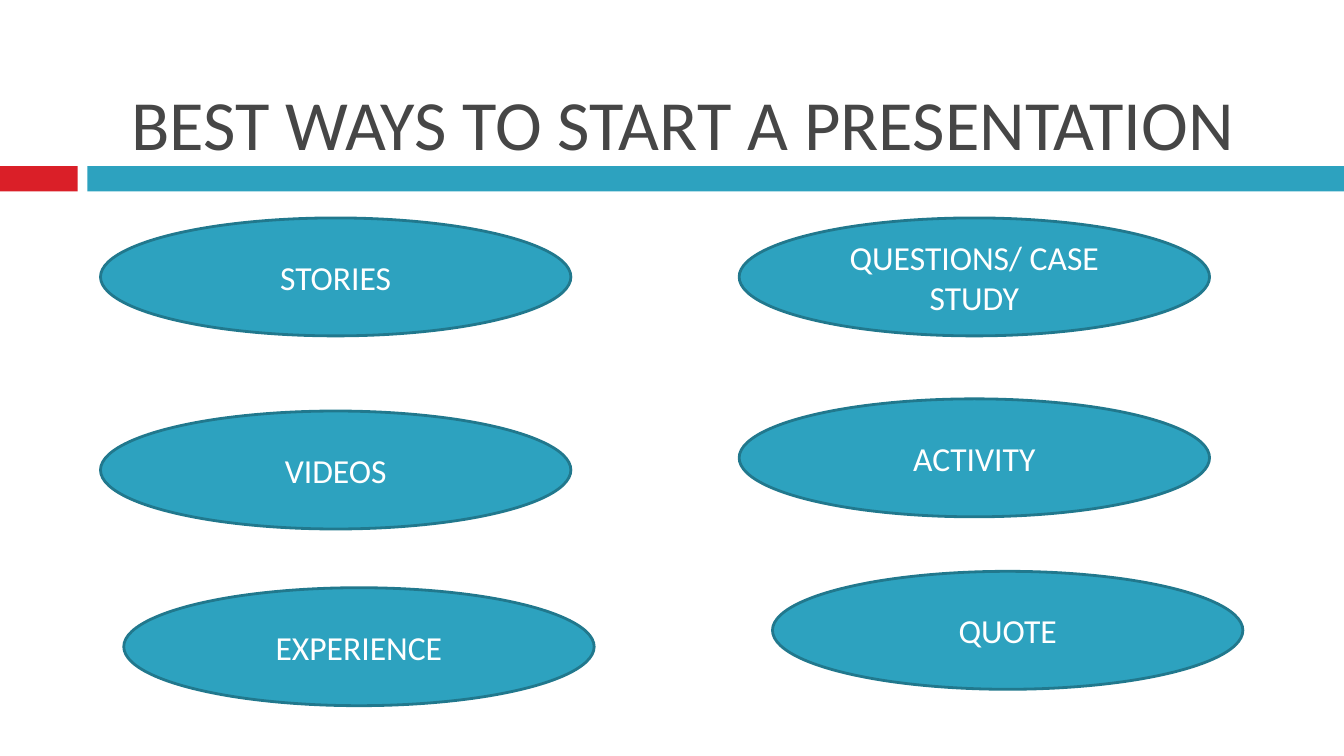
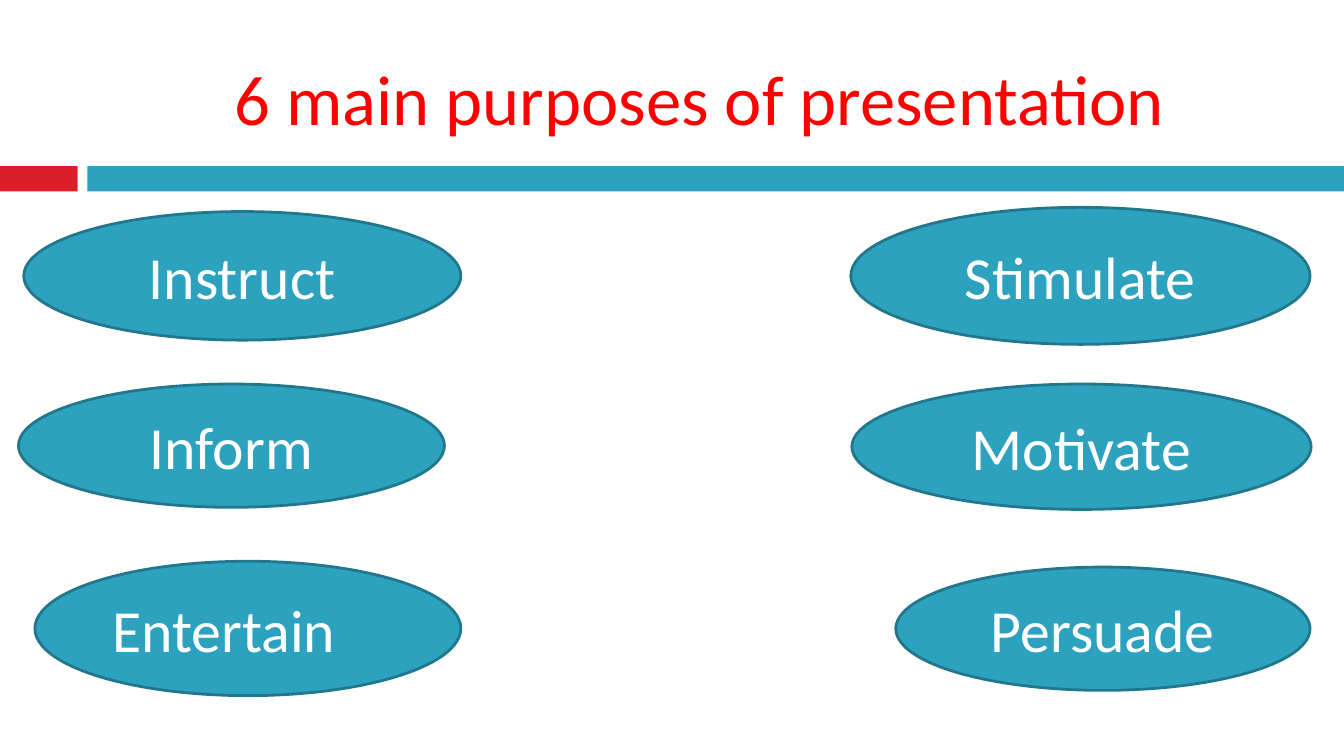
from pptx import Presentation
from pptx import util as u
from pptx.dml.color import RGBColor
from pptx.enum import shapes, text

COLORS = {"red": "DA1F28", "teal": "2DA2BF", "edge": "21788D",
          "white": "FFFFFF", "gray": "464646", "bright": "FF0000"}
WIDTH, HEIGHT = 25.4, 14.29
BAND_TOP, BAND_HEIGHT = 3.14, 0.48
BANDS = [("red", 0, 1.47), ("teal", 1.65, WIDTH - 1.65)]
OVAL = (8.89, 2.23)

SLIDES = [
    {"title": "BEST WAYS TO START A PRESENTATION", "color": "gray",
     "box": (1.47, 0.79, 22.86, 2.38), "size": 18,
     "ovals": [
         ("STORIES", 1.9, 4.12, *OVAL),
         ("VIDEOS", 1.9, 7.77, *OVAL),
         ("QUOTE", 14.6, 10.8, *OVAL),
         ("EXPERIENCE", 2.34, 11.11, *OVAL),
         ("ACTIVITY", 13.97, 7.54, *OVAL),
         ("QUESTIONS/ CASE STUDY", 13.97, 4.12, *OVAL)]},
    {"title": "6 main purposes of presentation", "color": "bright",
     "box": (2.11, 1.22, 22.22, 1.47), "size": 32,
     "ovals": [
         ("Inform", 0.35, 7.26, 8.05, 2.33),
         ("Motivate", 16.1, 7.26, 8.68, 2.37),
         ("Instruct", 0.45, 4, 8.26, 2.43),
         ("Entertain", 0.66, 10.61, 8.05, 2.54),
         ("Persuade", 16.93, 10.72, 7.83, 2.33),
         ("Stimulate", 16.08, 3.92, 8.68, 2.59)]},
]
INSETS = {"Entertain": {"margin_right": u.Cm(1.15)}}


def rgb(name):
    return RGBColor.from_string(COLORS[name])


def set_all(obj, values):
    for name, value in values.items():
        setattr(obj, name, value)


def write(sp, words, size, color, **frame):
    tf = sp.text_frame
    set_all(tf, {"word_wrap": True, **frame})
    p = tf.paragraphs[0]
    p.alignment = text.PP_ALIGN.CENTER
    r = p.add_run()
    r.text = words
    set_all(r.font, {"name": "Calibri", "size": u.Pt(size)})
    r.font.color.rgb = rgb(color)


def add_filled(s, kind, box, fill, edge=None):
    sp = s.shapes.add_shape(kind, *map(u.Cm, box))
    sp.shadow.inherit = False
    sp.fill.solid()
    sp.fill.fore_color.rgb = rgb(fill)
    if edge:
        sp.line.color.rgb = rgb(edge)
        sp.line.width = u.Pt(1.5)
    else:
        sp.line.fill.background()
    return sp


def add_slide(prs, content):
    s = prs.slides.add_slide(prs.slide_layouts[6])
    for fill, left, width in BANDS:
        add_filled(s, shapes.MSO_SHAPE.RECTANGLE,
                   (left, BAND_TOP, width, BAND_HEIGHT), fill)
    title = s.shapes.add_textbox(*map(u.Cm, content["box"]))
    write(title, content["title"], 37.8, content["color"],
          vertical_anchor=text.MSO_ANCHOR.BOTTOM, margin_bottom=u.Cm(0.05))
    for label, *box in content["ovals"]:
        sp = add_filled(s, shapes.MSO_SHAPE.OVAL, box, "teal", "edge")
        write(sp, label, content["size"], "white",
              vertical_anchor=text.MSO_ANCHOR.MIDDLE, **INSETS.get(label, {}))


def main():
    prs = Presentation()
    set_all(prs, {"slide_width": u.Cm(WIDTH), "slide_height": u.Cm(HEIGHT)})
    for content in SLIDES:
        add_slide(prs, content)
    prs.save("out.pptx")


if __name__ == "__main__":
    main()
